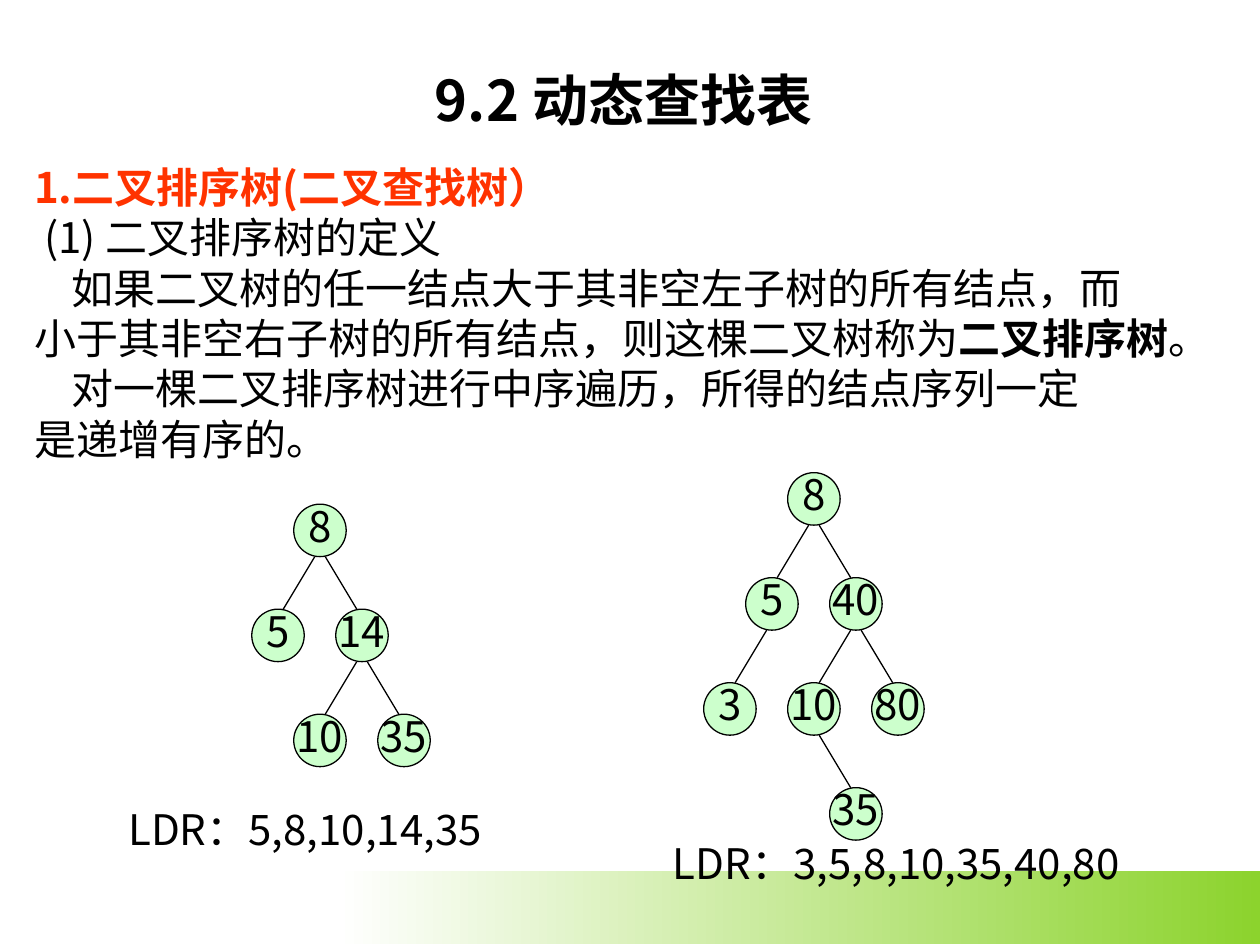
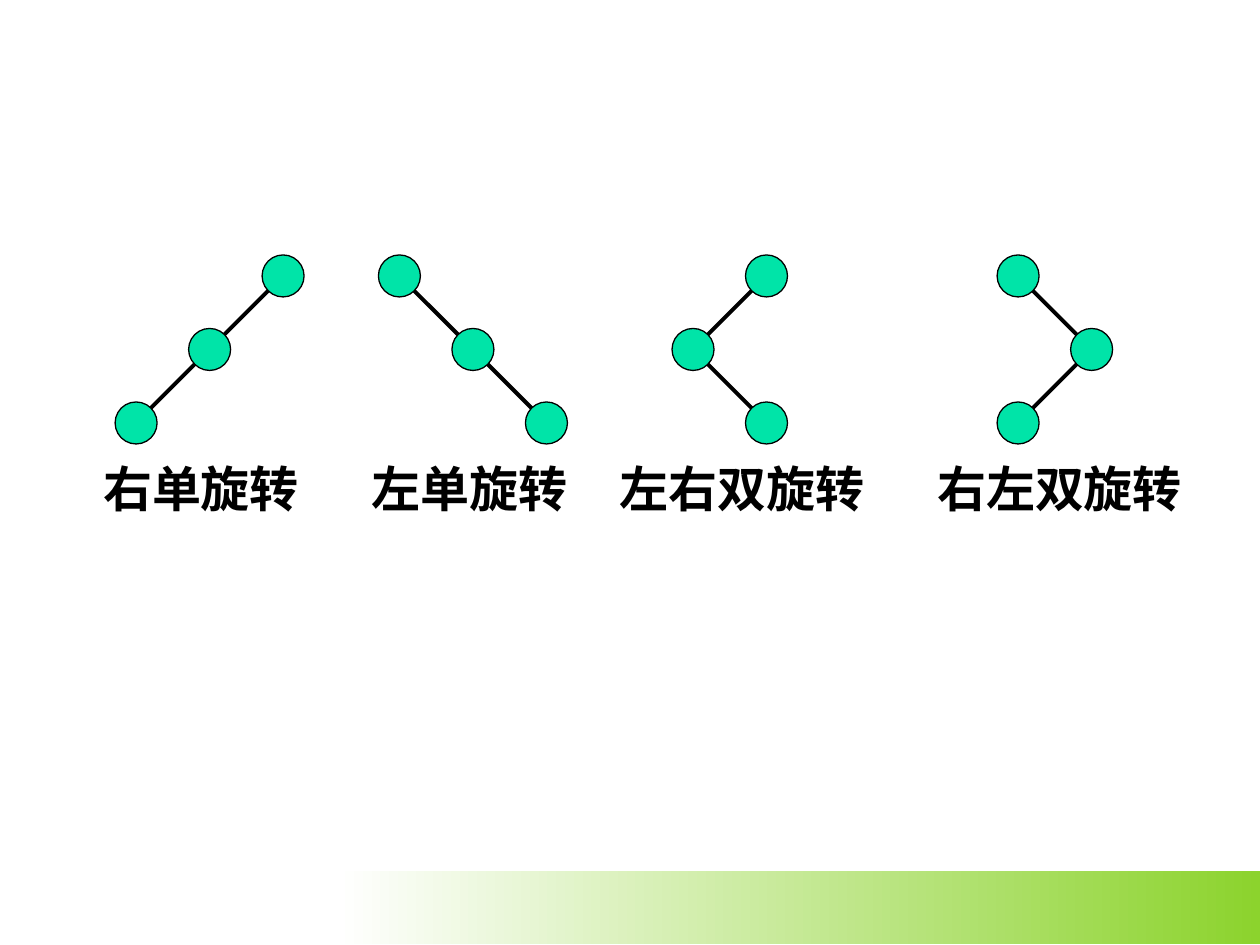
"""Build two slides on binary search trees and the four AVL rotations."""
from dataclasses import dataclass
from lxml.etree import SubElement
from pptx import Presentation
from pptx.dml.color import RGBColor
from pptx.enum.shapes import MSO_CONNECTOR as Connector, MSO_SHAPE as Shape
from pptx.enum.text import MSO_ANCHOR as Anchor, MSO_AUTO_SIZE as AutoSize, PP_ALIGN as Align
from pptx.oxml.ns import qn
from pptx.util import Inches, Pt


@dataclass(frozen=True)
class Theme:
    sans: str = "Noto Sans CJK SC"
    serif: str = "Times New Roman"
    ink: str = "000000"
    heading: str = "FF3300"
    tree_node: str = "CCFFCC"
    rotation_node: str = "00E4A8"
    band: tuple = ("FFFFFF", "8CD32D")
    title_size: int = 32
    caption_size: int = 28
    body_size: int = 24
    body_leading: float = 28.8
    thin: float = 0.75
    thick: float = 2.25


THEME = Theme()

TITLE = "**9.2 动态查找表**"
DEFINITION = [
    ("**1.二叉排序树(二叉查找树）**", dict(color=THEME.heading)),
    ("(1) 二叉排序树的定义", dict(indent=0.08)),
    ("如果二叉树的任一结点大于其非空左子树的所有结点，而", dict(indent=0.3, align=Align.JUSTIFY)),
    ("小于其非空右子树的所有结点，则这棵二叉树称为**二叉排序树**。", dict(align=Align.JUSTIFY)),
    ("对一棵二叉排序树进行中序遍历，所得的结点序列一定", dict(indent=0.3, align=Align.JUSTIFY)),
    ("是递增有序的。", dict(align=Align.JUSTIFY)),
]

# Each tree node is (key, left subtree, right subtree).
TREES = [
    dict(root=(2.54, 4.21),
         nodes=("8", ("5", None, None), ("14", ("10", None, None), ("35", None, None))),
         order="LDR：5,8,10,14,35", order_at=(0.92, 6.33, 3.2, 0.5)),
    dict(root=(6.46, 3.96),
         nodes=("8", ("5", ("3", None, None), None),
                ("40", ("10", None, ("35", None, None)), ("80", None, None))),
         order="LDR：3,5,8,10,35,40,80", order_at=(5.24, 6.6, 3.95, 0.5)),
]
TREE_DIAMETER, TREE_DX, TREE_DY = 5 / 12, 1 / 3, 5 / 6
EDGE_OFFSET = TREE_DX / 8

# caption, caption left and width, caption font, centre of column 0, column of each node
ROTATIONS = [
    ("**右单旋转**", 0.72, 1.75, THEME.serif, 1.08, (2, 1, 0)),
    ("**左单旋转**", 2.85, 1.75, THEME.serif, 3.17, (0, 1, 2)),
    ("**左右双旋转**", 4.82, 2.14, THEME.sans, 5.5, (1, 0, 1)),
    ("**右左双旋转**", 7.34, 2.14, THEME.serif, 8.08, (0, 1, 0)),
]
ROTATION_DIAMETER, ROTATION_STEP, ROTATION_TOP = 1 / 3, 7 / 12, 2.19
CAPTION_TOP, CAPTION_HEIGHT = 3.59, 0.57


def rgb(color):
    return RGBColor.from_string(color)


def write(paragraph, text, size=THEME.body_size, color=THEME.ink, font=THEME.sans,
          align=Align.LEFT, spacing=None, indent=None):
    """Fill a paragraph; parts between ** marks are bold."""
    if indent is not None:
        properties = paragraph._p.get_or_add_pPr()
        properties.set("marL", "0")
        properties.set("indent", str(Inches(indent)))
        SubElement(properties, qn("a:buNone"))
        paragraph.space_before = Pt(0)
    paragraph.alignment = align
    if spacing:
        paragraph.line_spacing = spacing
    for part, words in enumerate(text.split("**")):
        if words:
            run = paragraph.add_run()
            run.text = words
            run.font.size, run.font.bold = Pt(size), part % 2 == 1
            run.font.color.rgb = rgb(color)
            run.font.name = font
            SubElement(run._r.get_or_add_rPr(), qn("a:ea"), typeface=THEME.sans)


def place(shape, left, top, width, height):
    shape.left, shape.top = Inches(left), Inches(top)
    shape.width, shape.height = Inches(width), Inches(height)


def add_label(slide, text, at, **style):
    frame = slide.shapes.add_textbox(*map(Inches, at)).text_frame
    frame.word_wrap = False
    frame.auto_size = AutoSize.SHAPE_TO_FIT_TEXT
    write(frame.paragraphs[0], text, **style)


def add_line(slide, start, end, width):
    line = slide.shapes.add_connector(Connector.STRAIGHT, *map(Inches, (*start, *end)))
    line.line.color.rgb, line.line.width = rgb(THEME.ink), Pt(width)
    SubElement(line._element.spPr, qn("a:effectLst"))


def add_circle(slide, centre, diameter, color):
    x, y = centre
    circle = slide.shapes.add_shape(
        Shape.OVAL, *map(Inches, (x - diameter / 2, y - diameter / 2, diameter, diameter)))
    circle.shadow.inherit = False
    circle.fill.solid()
    circle.fill.fore_color.rgb = rgb(color)
    circle.line.color.rgb, circle.line.width = rgb(THEME.ink), Pt(THEME.thin)
    return circle


def add_tree(slide, node, centre):
    key, *children = node
    x, y = centre
    frame = add_circle(slide, centre, TREE_DIAMETER, THEME.tree_node).text_frame
    frame.word_wrap, frame.vertical_anchor = False, Anchor.MIDDLE
    write(frame.paragraphs[0], key, align=Align.CENTER, spacing=0.8)
    for side, child in zip((-1, 1), children):
        if child:
            child_x, child_y = x + side * TREE_DX, y + TREE_DY
            add_line(slide, (x + side * EDGE_OFFSET, y + TREE_DIAMETER / 2),
                     (child_x - side * EDGE_OFFSET, child_y - TREE_DIAMETER / 2), THEME.thin)
            add_tree(slide, child, (child_x, child_y))


def add_master_band(master, slide):
    """Draw the footer band and move it to the slide master."""
    band = slide.shapes.add_shape(Shape.RECTANGLE, *map(Inches, (2.67, 6.91, 7.33, 0.58)))
    band.shadow.inherit = False
    band.line.fill.background()
    band.fill.gradient()
    band.fill.gradient_angle = 0
    for stop, color in zip(band.fill.gradient_stops, THEME.band):
        stop.color.rgb = rgb(color)
    band.element.nvSpPr.cNvPr.set("id", "50")
    master.shapes.element.insert(2, band.element)


def fill_definition_slide(slide):
    title, body = slide.shapes.title, slide.placeholders[1]
    place(title, 0.17, 0.49, 9.56, 0.6)
    place(body, 0.17, 1.23, 9.56, 2.68)
    for holder in (title, body):
        holder.text_frame.auto_size = AutoSize.NONE
    title.text_frame.margin_top = title.text_frame.margin_bottom = 0
    title.text_frame.vertical_anchor = Anchor.MIDDLE
    write(title.text_frame.paragraphs[0], TITLE, size=THEME.title_size, align=Align.CENTER)
    frame = body.text_frame
    for number, (text, style) in enumerate(DEFINITION):
        paragraph = frame.add_paragraph() if number else frame.paragraphs[0]
        write(paragraph, text, **{"indent": 0, "spacing": Pt(THEME.body_leading), **style})
    for tree in TREES:
        add_tree(slide, tree["nodes"], tree["root"])
        add_label(slide, tree["order"], tree["order_at"])


def fill_rotation_slide(slide):
    for caption, left, width, font, first_x, columns in ROTATIONS:
        centres = [(first_x + column * ROTATION_STEP, ROTATION_TOP + row * ROTATION_STEP)
                   for row, column in enumerate(columns)]
        bent = columns[0] == columns[-1]
        joints = centres if bent else centres[::2]
        for start, end in zip(joints, joints[1:]):
            add_line(slide, start, end, THEME.thick)
        for centre in centres:
            add_circle(slide, centre, ROTATION_DIAMETER, THEME.rotation_node)
        add_label(slide, caption, (left, CAPTION_TOP, width, CAPTION_HEIGHT),
                  size=THEME.caption_size, font=font)


def main():
    deck = Presentation()
    deck.slide_width, deck.slide_height = Inches(10), Inches(7.5)
    definition = deck.slides.add_slide(deck.slide_layouts[1])
    rotations = deck.slides.add_slide(deck.slide_layouts[6])
    add_master_band(deck.slide_master, definition)
    fill_definition_slide(definition)
    fill_rotation_slide(rotations)
    deck.save("out.pptx")


if __name__ == "__main__":
    main()
